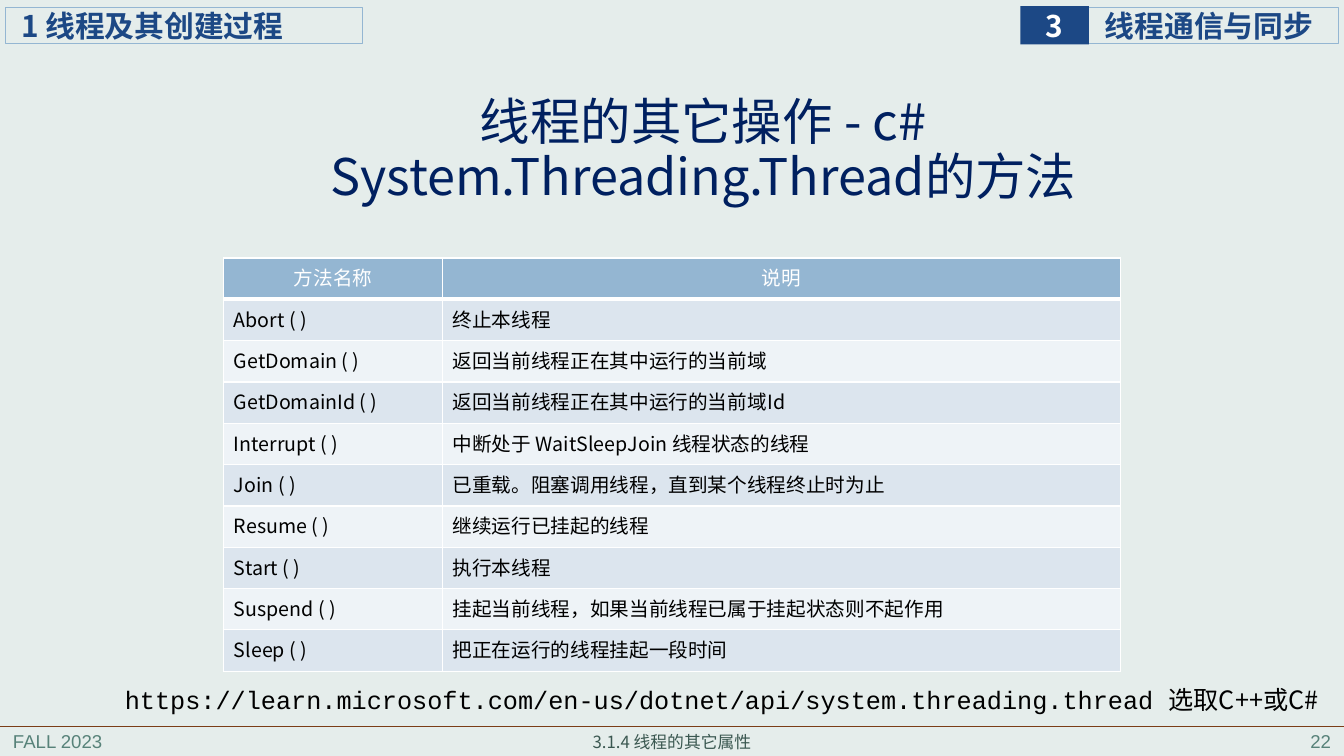
from copy import deepcopy

from lxml.etree import SubElement
from pptx import Presentation
from pptx.dml.color import RGBColor
from pptx.enum.shapes import MSO_CONNECTOR, MSO_SHAPE
from pptx.enum.text import MSO_ANCHOR, MSO_AUTO_SIZE, PP_ALIGN
from pptx.oxml.ns import qn
from pptx.util import Inches, Pt

COLORS = {
    "background": "E5EDEB", "navy": "1C4885", "title": "002060",
    "light_blue": "94B6D2", "rule": "7B3D17", "footer": "578279",
    "section": "3A5750", "white": "FFFFFF", "black": "000000",
    "band_dark": "DCE5EE", "band_light": "EEF3F7",
}
CJK, SANS, MONO = "Noto Sans CJK SC", "Arial", "Courier New"

METHODS = [
    ("方法名称", "说明"),
    ("Abort ( )", "终止本线程"),
    ("GetDomain ( )", "返回当前线程正在其中运行的当前域"),
    ("GetDomainId ( )", "返回当前线程正在其中运行的当前域Id"),
    ("Interrupt ( )", "中断处于 WaitSleepJoin 线程状态的线程"),
    ("Join ( )", "已重载。阻塞调用线程，直到某个线程终止时为止"),
    ("Resume ( )", "继续运行已挂起的线程"),
    ("Start ( )", "执行本线程"),
    ("Suspend ( )", "挂起当前线程，如果当前线程已属于挂起状态则不起作用"),
    ("Sleep ( )", "把正在运行的线程挂起一段时间"),
]


def rgb(name):
    return RGBColor.from_string(COLORS[name])


def inches(*lengths):
    return [Inches(n) for n in lengths]


def write(p, text, size=14, font=CJK, color="black", bold=False, align=PP_ALIGN.LEFT):
    """Append text to a paragraph; newlines become line breaks of the same size."""
    p.alignment = align
    for i, line in enumerate(text.split("\n")):
        if i:
            p.add_line_break()
            p._p[-1].append(deepcopy(r._r.rPr))
        r = p.add_run()
        r.text = line
        r.font.size, r.font.name, r.font.bold = Pt(size), font, bold
        r.font.color.rgb = rgb(color)
        SubElement(r._r.rPr, qn("a:ea"), typeface=font)


def set_insets(tf, left, top, right, bottom):
    tf.margin_left, tf.margin_top, tf.margin_right, tf.margin_bottom = inches(
        left, top, right, bottom)


def add_text(s, box, text, **fmt):
    tf = s.shapes.add_textbox(*inches(*box)).text_frame
    tf.word_wrap = True
    write(tf.paragraphs[0], text, **fmt)
    return tf


def add_label(s, box, text, fill=None, inset=0.0, **fmt):
    sp = s.shapes.add_shape(MSO_SHAPE.RECTANGLE, *inches(*box))
    sp.shadow.inherit = False
    if fill:
        sp.fill.solid()
        sp.fill.fore_color.rgb = rgb(fill)
        sp.line.fill.background()
    else:
        sp.fill.background()
        sp.line.color.rgb = rgb("light_blue")
        sp.line.width = Pt(0.75)
    tf = sp.text_frame
    tf.vertical_anchor = MSO_ANCHOR.MIDDLE
    tf.word_wrap = False
    set_insets(tf, inset, 0, 0, 0)
    write(tf.paragraphs[0], text, size=21.3, bold=True, **fmt)


def add_header(s, left, top, width):
    number_width, section_width = 0.68, 2.5
    section_left = left + width - section_width
    add_label(s, (section_left, top, section_width, 0.36), "线程通信与同步",
              inset=0.18, color="navy")
    add_label(s, (section_left - number_width + 0.02, top - 0.01, number_width, 0.38),
              "3", fill="navy", color="white", align=PP_ALIGN.CENTER)
    add_label(s, (left, top, 3.55, 0.36), "1 线程及其创建过程", inset=0.16, color="navy")


def add_title(s, box, text):
    sp = s.shapes.title
    sp.left, sp.top, sp.width, sp.height = inches(*box)
    tf = sp.text_frame
    tf.word_wrap, tf.auto_size = True, MSO_AUTO_SIZE.NONE
    tf.vertical_anchor = MSO_ANCHOR.MIDDLE
    set_insets(tf, 0.08, 0.04, 0.08, 0.04)
    p = tf.paragraphs[0]
    p.line_spacing = 0.9
    write(p, text, size=36, color="title", align=PP_ALIGN.CENTER)


def set_borders(cell, **widths):
    """Draw white borders; widths maps the sides L, R, T and B to points."""
    tcPr = cell._tc.get_or_add_tcPr()
    for side, width in widths.items():
        ln = SubElement(tcPr, qn(f"a:ln{side}"), w=str(Pt(width)))
        fill = SubElement(ln, qn("a:solidFill"))
        SubElement(fill, qn("a:srgbClr"), val=COLORS["white"])


def add_method_table(s, left, top, name_width, note_width, row_height):
    table = s.shapes.add_table(len(METHODS), 2, *inches(
        left, top, name_width + note_width, row_height * len(METHODS))).table
    table.columns[0].width, table.columns[1].width = inches(name_width, note_width)
    for i, texts in enumerate(METHODS):
        if i == 0:
            fill, fmt = "light_blue", {"color": "white", "align": PP_ALIGN.CENTER}
        else:
            fill, fmt = ("band_dark" if i % 2 else "band_light"), {}
        for cell, text in zip(table.rows[i].cells, texts):
            set_borders(cell, L=1, R=1, T=3 if i == 1 else 1, B=3 if i == 0 else 1)
            cell.fill.solid()
            cell.fill.fore_color.rgb = rgb(fill)
            write(cell.text_frame.paragraphs[0], text, **fmt)


def add_reference(s, box):
    tf = add_text(s, box, "https://learn.microsoft.com/en-us/dotnet/api/system.threading.thread ",
                  size=18, font=MONO)
    write(tf.paragraphs[0], "选取C++或C#", size=18)


def add_footer(s, top, width):
    rule = s.shapes.add_connector(MSO_CONNECTOR.STRAIGHT, *inches(0, top, width, top))
    rule.line.color.rgb = rgb("rule")
    rule.line.width = Pt(0.5)
    SubElement(rule._element.spPr, qn("a:effectLst"))
    edge, side_width, middle_width = 0.03, 2.78, 10
    side = {"size": 13.3, "font": SANS, "color": "footer"}
    add_text(s, (edge, top - 0.02, side_width, 0.31), "FALL 2023", **side)
    add_text(s, (width - edge - side_width, top - 0.02, side_width, 0.31), "22",
             align=PP_ALIGN.RIGHT, **side)
    add_text(s, ((width - middle_width) / 2, top, middle_width, 0.3),
             "3.1.4 线程的其它属性", size=12, color="section", align=PP_ALIGN.CENTER)


def main():
    prs = Presentation()
    prs.slide_width, prs.slide_height = inches(13.33, 7.5)
    s = prs.slides.add_slide(prs.slide_layouts[5])
    s.background.fill.solid()
    s.background.fill.fore_color.rgb = rgb("background")
    add_header(s, 0.05, 0.07, 13.23)
    add_title(s, (0.85, 0.83, 12.25, 1.35),
              "线程的其它操作 - c#\nSystem.Threading.Thread的方法")
    add_method_table(s, 2.22, 2.56, 2.17, 6.72, 0.41)
    add_reference(s, (1.14, 6.74, 12.3, 0.4))
    add_footer(s, 7.21, 13.33)
    prs.save("out.pptx")


if __name__ == "__main__":
    main()
